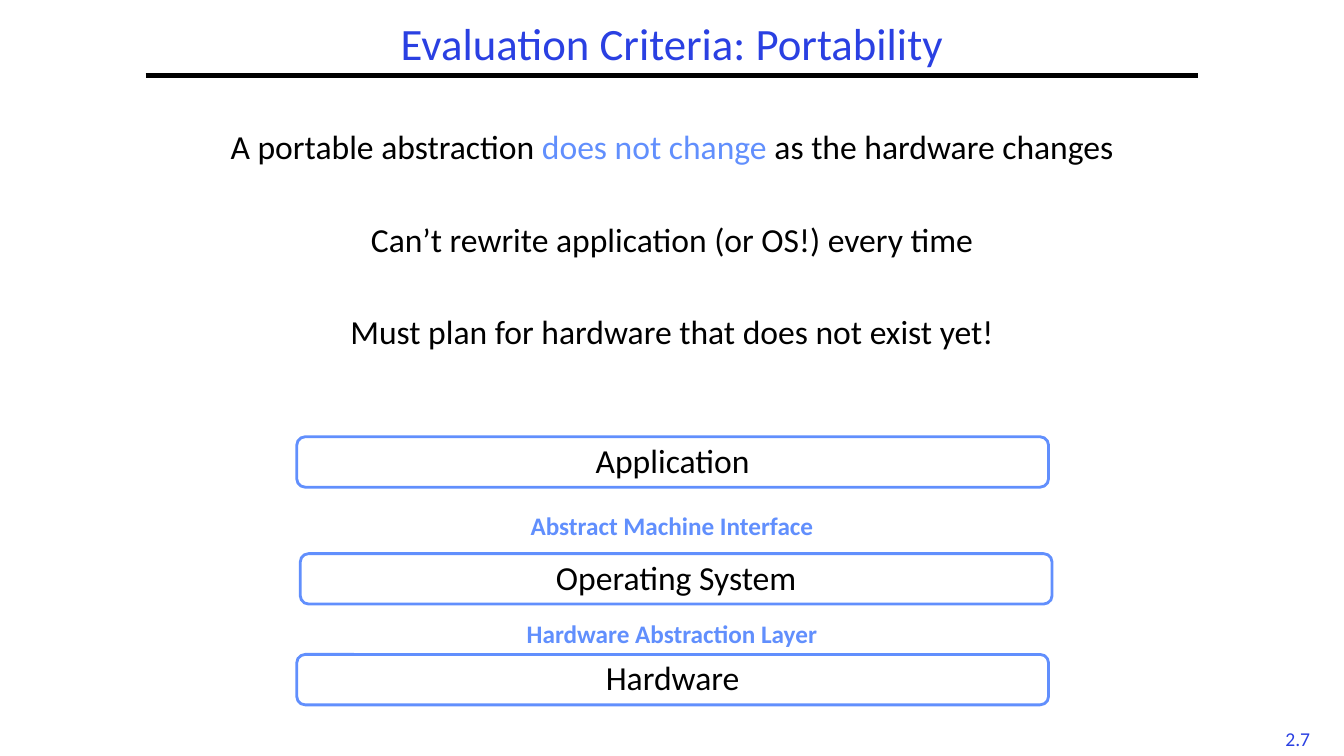
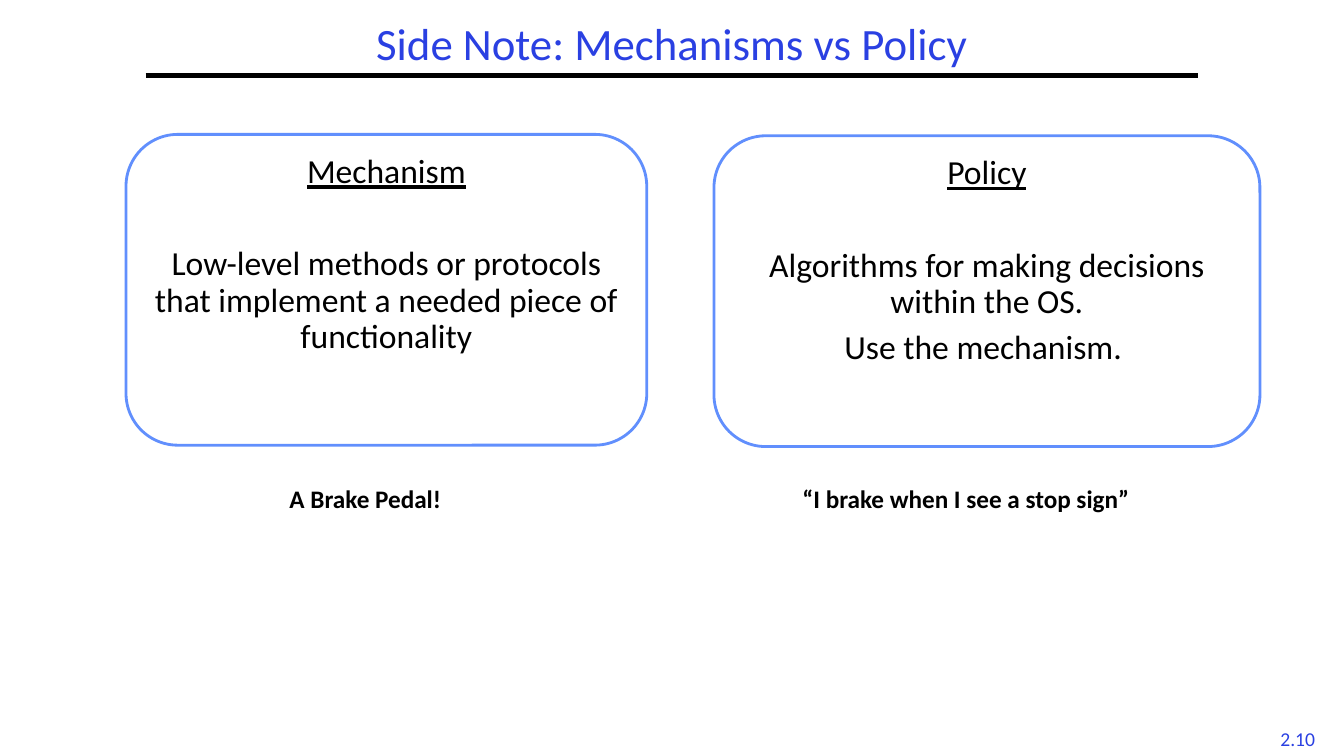
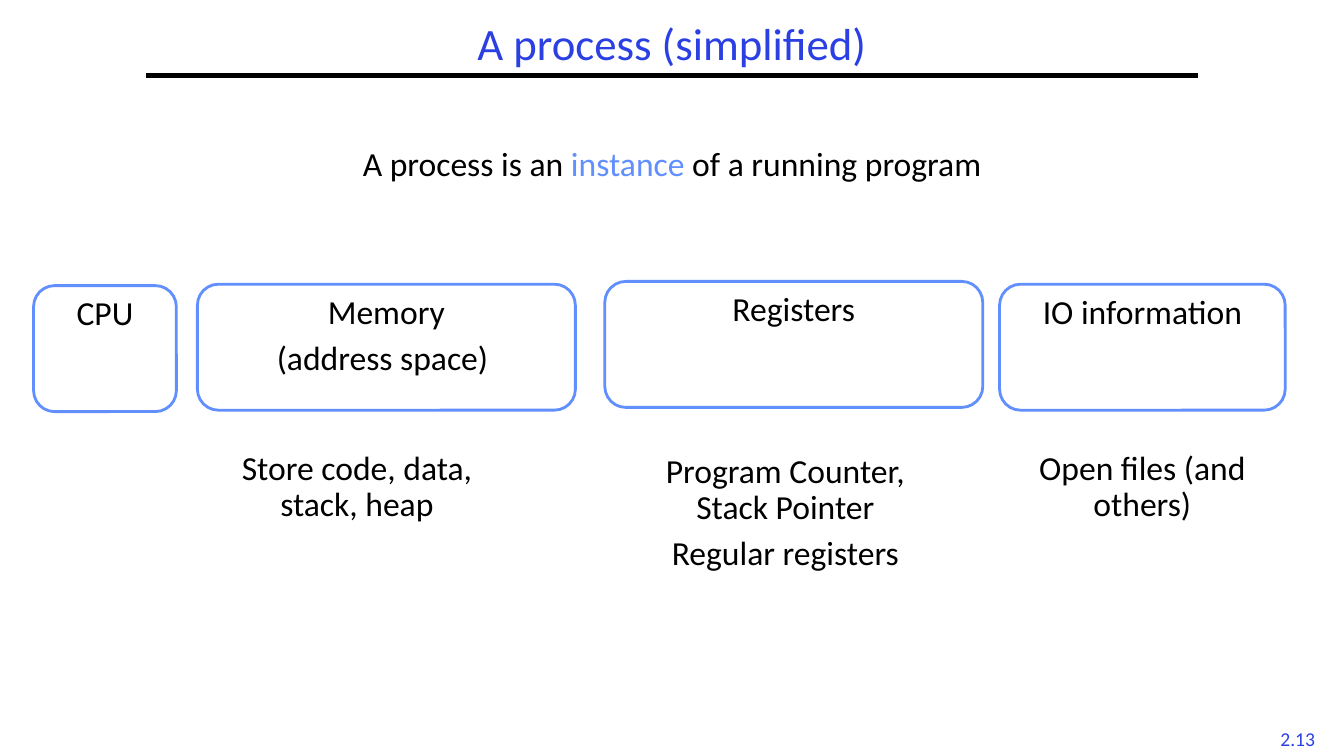
"""Build three lecture slides on portability, mechanisms and processes."""
from lxml import etree
from pptx import Presentation
from pptx.dml.color import RGBColor
from pptx.enum import shapes, text
from pptx.oxml import ns
from pptx.util import Pt

FONT = "Calibri"
TITLE_BLUE = RGBColor(0x2A, 0x40, 0xE2)
ACCENT = RGBColor(0x61, 0x8F, 0xFD)
BLACK = RGBColor(0, 0, 0)
WHITE = RGBColor(255, 255, 255)
SLIDE_WIDTH, SLIDE_HEIGHT = 960, 540
TIGHT, WIDE = 7, 40

STATEMENTS = [
    ("A portable abstraction ", "does not change ", "as the hardware changes"),
    "Can’t rewrite application (or OS!) every time",
    "Must plan for hardware that does not exist yet!",
]
LAYERS = [("Application", 212, 312), ("Operating System", 214.5, 395.5), ("Hardware", 212, 467.5)]
INTERFACES = [("Abstract Machine Interface", 361), ("Hardware Abstraction Layer", 438)]

CONCEPTS = [
    {
        "lines": ["Mechanism",
                  "Low-level methods or protocols that implement a needed piece of functionality"],
        "frame": (90, 96, 372, 222),
        "example": "A Brake Pedal!",
        "example_frame": (78, 342, 366, 29),
    },
    {
        "lines": ["Policy", "Algorithms for making decisions within the OS.", "Use the mechanism. "],
        "frame": (510, 97, 390, 222),
        "example": "“I brake when I see a stop sign”",
        "example_frame": (492, 342, 396, 29),
    },
]

DEFINITION = ("A process is an ", "instance", " of a running program")
PARTS = [
    (["CPU"], 24, 204, 102),
    (["Memory", "(address space) "], 141, 203, 270),
    (["Registers"], 432, 201, 270),
    (["IO information"], 714, 203, 204),
]
DETAILS = [
    (["Store code, data, stack, heap"], 162, 319),
    (["Program Counter, Stack Pointer", "Regular registers"], 468, 321),
    (["Open files (and others)"], 723, 319),
]


def write(box, paragraphs, size=24, color=BLACK, bold=False, heading=False,
          gaps=(), line_spacing=0.9, anchor=text.MSO_ANCHOR.TOP, wrap=True):
    """Fill a box with centred paragraphs; every second span of a tuple is accented."""
    frame = box.text_frame
    frame.word_wrap = wrap
    frame.vertical_anchor = anchor
    for index, content in enumerate(paragraphs):
        para = frame.paragraphs[0] if index == 0 else frame.add_paragraph()
        para.alignment = text.PP_ALIGN.CENTER
        para.line_spacing = line_spacing
        if index:
            para.space_before = Pt(gaps[index - 1] if index <= len(gaps) else TIGHT)
        spans = (content,) if isinstance(content, str) else content
        for position, words in enumerate(spans):
            span = para.add_run()
            span.text = words
            font = span.font
            font.name, font.size, font.bold = FONT, Pt(size), bold
            font.color.rgb = ACCENT if position % 2 else color
            font.underline = heading and index == 0


def add_text(page, frame, paragraphs, **style):
    """Add a text box at a frame given in points."""
    write(page.shapes.add_textbox(*map(Pt, frame)), paragraphs, **style)


def add_card(page, frame, paragraphs, **style):
    """Add a white rounded box with an accent outline."""
    card = page.shapes.add_shape(shapes.MSO_SHAPE.ROUNDED_RECTANGLE, *map(Pt, frame))
    card.shadow.inherit = False
    card.fill.solid()
    card.fill.fore_color.rgb = WHITE
    card.line.color.rgb = ACCENT
    card.line.width = Pt(2)
    write(card, paragraphs, **style)


def add_label(page, frame, words, color=BLACK):
    """Add a small bold label."""
    add_text(page, frame, [words], size=18, color=color, bold=True, line_spacing=1)


def add_page(deck, title, number):
    """Add a slide with its number, rule and title."""
    page = deck.slides.add_slide(deck.slide_layouts[6])
    add_text(page, (906, 515.5, 42, 24), [number], size=14, color=TITLE_BLUE,
             line_spacing=1, wrap=False)
    rule = page.shapes.add_connector(shapes.MSO_CONNECTOR.STRAIGHT,
                                     Pt(104), Pt(54), Pt(856), Pt(54))
    rule.line.color.rgb = BLACK
    rule.line.width = Pt(3)
    etree.SubElement(rule._element.spPr, ns.qn("a:effectLst"))
    add_text(page, (104, 12, 752, 42), [title], size=32, color=TITLE_BLUE,
             anchor=text.MSO_ANCHOR.MIDDLE)
    return page


def build_portability(deck):
    """Show the portability statements above the layer stack."""
    page = add_page(deck, "Evaluation Criteria: Portability", "2.7")
    add_text(page, (0, 90, SLIDE_WIDTH, 180), STATEMENTS, gaps=(WIDE, WIDE))
    for name, left, top in LAYERS:
        add_card(page, (left, top, 537, 36), [name])
    for name, top in INTERFACES:
        add_label(page, (147, top, 666, 29), name, color=ACCENT)


def build_mechanisms(deck):
    """Compare mechanism and policy side by side."""
    page = add_page(deck, "Side Note: Mechanisms vs Policy", "2.10")
    for concept in CONCEPTS:
        add_card(page, concept["frame"], concept["lines"], heading=True, gaps=(WIDE,))
        add_label(page, concept["example_frame"], concept["example"])


def build_process(deck):
    """Show the parts of a process with their details."""
    page = add_page(deck, "A process (simplified)", "2.13")
    add_text(page, (111, 102, 738, 36), [DEFINITION])
    for lines, left, top, width in PARTS:
        add_card(page, (left, top, width, 90), lines)
    for lines, left, top in DETAILS:
        add_text(page, (left, top, 186, 102), lines)


def main():
    """Build and save the deck."""
    deck = Presentation()
    deck.slide_width, deck.slide_height = Pt(SLIDE_WIDTH), Pt(SLIDE_HEIGHT)
    for build in (build_portability, build_mechanisms, build_process):
        build(deck)
    deck.save("out.pptx")


if __name__ == "__main__":
    main()
